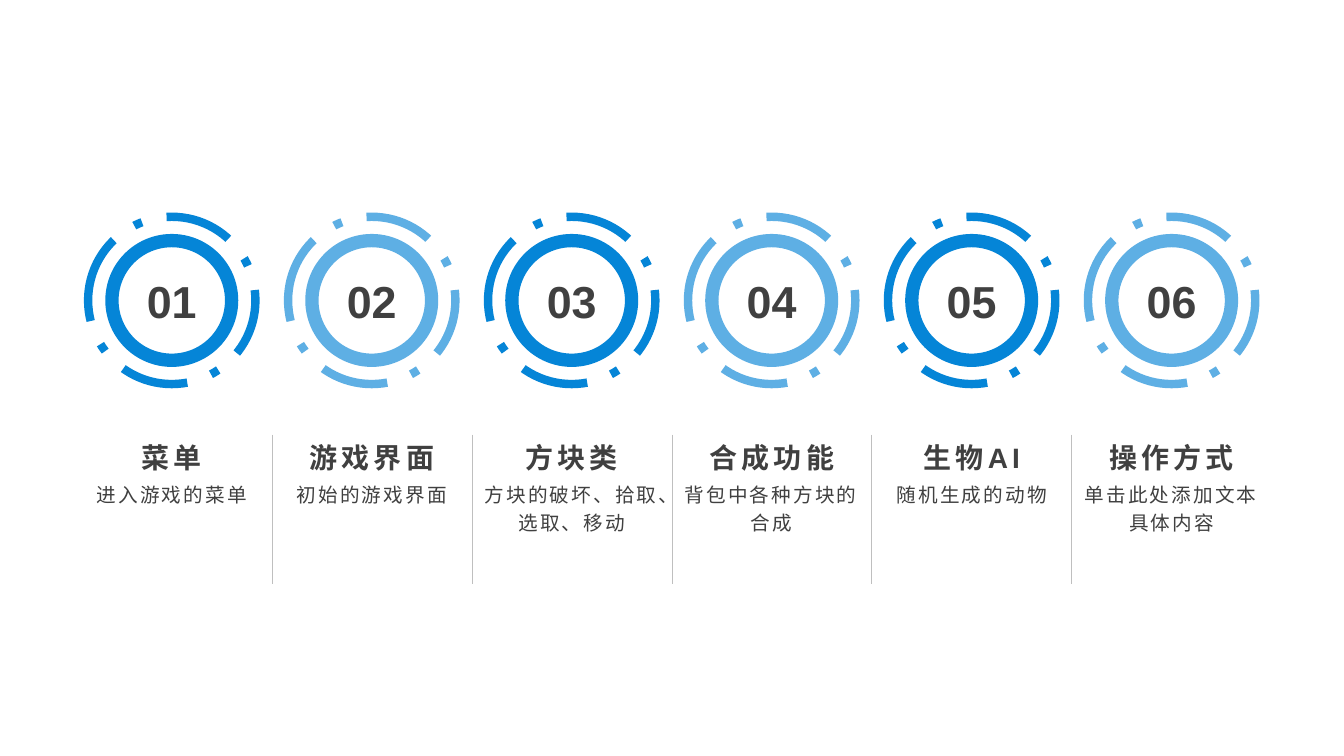
"""Build a six-step agenda slide with numbered rings, headings and descriptions."""
from dataclasses import dataclass

from lxml import etree
from pptx import Presentation
from pptx import slide as sl
from pptx import util as u
from pptx.dml import color as c
from pptx.enum import dml, shapes, text
from pptx.oxml import ns
from pptx.text import text as tx

Pt = u.Pt
DARK_BLUE = c.RGBColor(0x05, 0x85, 0xD7)
LIGHT_BLUE = c.RGBColor(0x5E, 0xAF, 0xE4)
TEXT_GRAY = c.RGBColor(0x40, 0x40, 0x40)
LINE_GRAY = c.RGBColor(0xBF, 0xBF, 0xBF)
FONT = "Arial"

FIRST_CENTER, PITCH = 122.7, 142.84
RING_CENTER = 214.6
DONUT_SIZE, ORBIT_SIZE = 95, 119.5
TEXT_WIDTH = 140.4
DIVIDER_TOP, DIVIDER_BOTTOM = 310.5, 417.3


@dataclass(frozen=True)
class Step:
    heading: str
    description: str


@dataclass(frozen=True)
class TextStyle:
    top: float
    height: float
    size: float
    bold: bool
    tracking: int
    line_spacing: float
    anchor: text.MSO_ANCHOR
    margin_top: float
    margin_bottom: float


HEADING = TextStyle(308.2, 30.2, 20, True, 300, 1.1, text.MSO_ANCHOR.BOTTOM, 3.6, 0)
DESCRIPTION = TextStyle(341.3, 76.3, 14, False, 150, 1.2, text.MSO_ANCHOR.TOP, 0, 3.6)

STEPS = [
    Step("菜单", "进入游戏的菜单"),
    Step("游戏界面", "初始的游戏界面"),
    Step("方块类", "方块的破坏、拾取、选取、移动"),
    Step("合成功能", "背包中各种方块的合成"),
    Step("生物AI", "随机生成的动物"),
    Step("操作方式", "单击此处添加文本具体内容"),
]


def format_paragraph(paragraph: tx._Paragraph, size: float, bold: bool) -> None:
    """Center a paragraph and set its font."""
    paragraph.alignment = text.PP_ALIGN.CENTER
    font = paragraph.font
    font.name, font.size, font.bold = FONT, Pt(size), bold
    font.color.rgb = TEXT_GRAY


def add_ring(slide: sl.Slide, center: float, number: int, color: c.RGBColor) -> None:
    """Draw a numbered donut inside a dashed orbit."""
    for kind, size in (
        (shapes.MSO_SHAPE.DONUT, DONUT_SIZE),
        (shapes.MSO_SHAPE.OVAL, ORBIT_SIZE),
    ):
        shape = slide.shapes.add_shape(
            kind, Pt(center - size / 2), Pt(RING_CENTER - size / 2), Pt(size), Pt(size)
        )
        shape.shadow.inherit = False
        if kind == shapes.MSO_SHAPE.DONUT:
            shape.adjustments[0] = 0.1
            shape.fill.solid()
            shape.fill.fore_color.rgb = color
            shape.line.fill.background()
            shape.text_frame.vertical_anchor = text.MSO_ANCHOR.MIDDLE
            paragraph = shape.text_frame.paragraphs[0]
            paragraph.add_run().text = f"{number:02d}"
            format_paragraph(paragraph, 32, True)
        else:
            shape.fill.background()
            shape.line.color.rgb = color
            shape.line.width = Pt(6)
            shape.line.dash_style = dml.MSO_LINE.LONG_DASH_DOT


def add_label(slide: sl.Slide, center: float, content: str, style: TextStyle) -> None:
    """Place a centered text box in the given style."""
    box = slide.shapes.add_textbox(
        Pt(center - TEXT_WIDTH / 2), Pt(style.top), Pt(TEXT_WIDTH), Pt(style.height)
    )
    frame = box.text_frame
    frame.word_wrap = True
    frame.vertical_anchor = style.anchor
    frame.margin_top, frame.margin_bottom = Pt(style.margin_top), Pt(style.margin_bottom)
    paragraph = frame.paragraphs[0]
    run = paragraph.add_run()
    run.text = content
    run._r.get_or_add_rPr().set("spc", str(style.tracking))
    paragraph.line_spacing = style.line_spacing
    format_paragraph(paragraph, style.size, style.bold)


def add_divider(slide: sl.Slide, x: float) -> None:
    """Draw a thin vertical line between two columns."""
    line = slide.shapes.add_connector(
        shapes.MSO_CONNECTOR.STRAIGHT, Pt(x), Pt(DIVIDER_TOP), Pt(x), Pt(DIVIDER_BOTTOM)
    )
    line.line.color.rgb = LINE_GRAY
    line.line.width = Pt(0.25)
    etree.SubElement(line._element.spPr, ns.qn("a:effectLst"))


def main() -> None:
    """Assemble and save the presentation."""
    presentation = Presentation()
    presentation.slide_width, presentation.slide_height = Pt(960), Pt(540)
    slide = presentation.slides.add_slide(presentation.slide_layouts[6])
    for index, step in enumerate(STEPS):
        center = FIRST_CENTER + index * PITCH
        add_ring(slide, center, index + 1, LIGHT_BLUE if index % 2 else DARK_BLUE)
        add_label(slide, center, step.description, DESCRIPTION)
        add_label(slide, center, step.heading, HEADING)
        if index:
            add_divider(slide, center - PITCH / 2)
    presentation.save("out.pptx")


if __name__ == "__main__":
    main()
